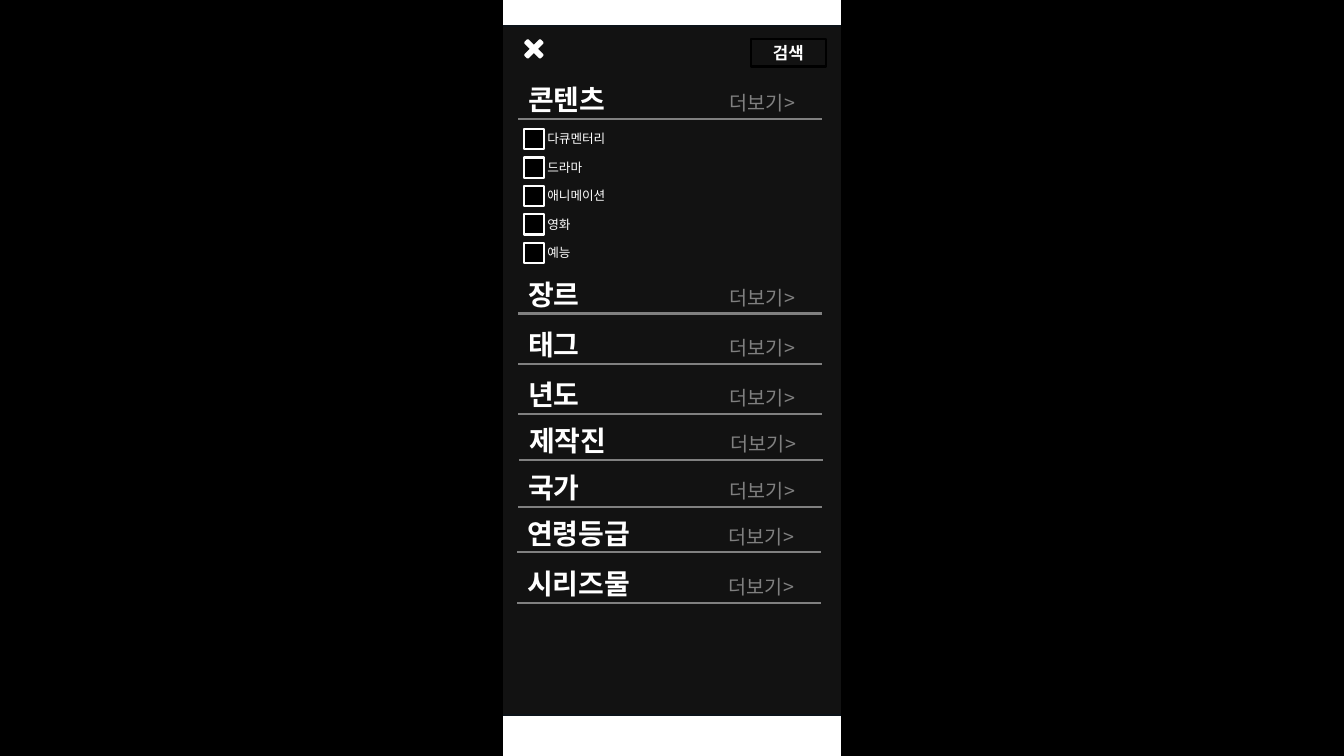
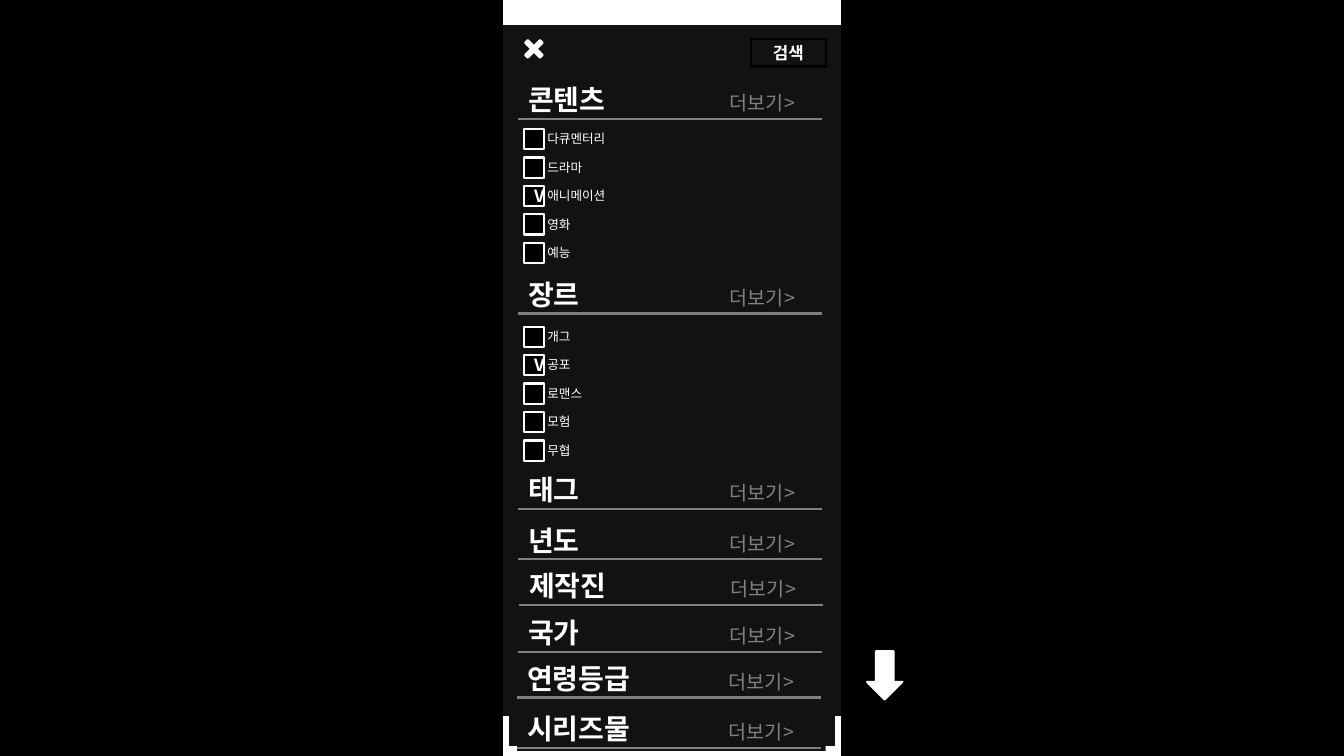
"""Build two slides of a mobile search filter screen, collapsed and expanded."""
import pptx
import pptx.dml.color
import pptx.enum.shapes
import pptx.enum.text
import pptx.oxml
import pptx.oxml.ns
import pptx.util
from lxml import etree

Inches = pptx.util.Inches
Pt = pptx.util.Pt
SHAPES = pptx.enum.shapes.MSO_SHAPE
ALIGN = pptx.enum.text.PP_ALIGN
ANCHOR = pptx.enum.text.MSO_ANCHOR
AUTO_SIZE = pptx.enum.text.MSO_AUTO_SIZE
qn = pptx.oxml.ns.qn

FONT = "Noto Sans CJK KR"
COLORS = {
    "screen": "121212",
    "screen_edge": "0C1319",
    "black": "000000",
    "white": "FFFFFF",
    "gray": "808080",
}
SLIDE_WIDTH, SLIDE_HEIGHT = 13.33, 7.5
LINE_WIDTH = 1.5
SIDE_WIDTH = 4.98
CHECK_SIZE = 0.2
CHECK_PITCH = 1.13 / 4
EXPANDED_SHIFT = 1.44

CONTENT_OPTIONS = ["다큐멘터리", "드라마", "애니메이션", "영화", "예능"]
GENRE_OPTIONS = ["개그", "공포", "로맨스", "모험", "무협"]
OPEN_SECTIONS = [("콘텐츠", 5.14, 0.77), ("장르", 5.14, 2.7)]
CLOSED_SECTIONS = [
    ("태그", 5.14, 3.2),
    ("년도", 5.14, 3.7),
    ("제작진", 5.15, 4.15),
    ("국가", 5.14, 4.62),
    ("연령등급", 5.13, 5.07),
    ("시리즈물", 5.13, 5.57),
]


def rgb(color):
    """Return the named palette colour."""
    return pptx.dml.color.RGBColor.from_string(COLORS[color])


def add_block(slide, box, fill, edge=None, kind=SHAPES.RECTANGLE):
    """Add a filled preset shape, outlined only if an edge colour is given."""
    block = slide.shapes.add_shape(kind, *map(Inches, box))
    block.shadow.inherit = False
    block.fill.solid()
    block.fill.fore_color.rgb = rgb(fill)
    if edge:
        block.line.color.rgb = rgb(edge)
        block.line.width = Pt(LINE_WIDTH)
    else:
        block.line.fill.background()
    return block


def style_run(run, size, color="white", bold=False):
    """Set the typeface of a run for Latin and Korean text."""
    run.font.name = FONT
    run.font.size = Pt(size)
    run.font.bold = bold
    run.font.color.rgb = rgb(color)
    korean = etree.SubElement(run.font._element, qn("a:ea"))
    korean.set("typeface", FONT)


def add_centered_text(block, text):
    """Write bold text in the middle of a block."""
    frame = block.text_frame
    frame.text = text
    frame.vertical_anchor = ANCHOR.MIDDLE
    frame.paragraphs[0].alignment = ALIGN.CENTER
    style_run(frame.paragraphs[0].runs[0], 12, bold=True)


def add_rule(slide, left, top):
    """Draw the thin line under a section heading."""
    rule = slide.shapes.add_connector(
        pptx.enum.shapes.MSO_CONNECTOR.STRAIGHT,
        Inches(left), Inches(top), Inches(left + 3.01), Inches(top))
    rule.line.color.rgb = rgb("gray")
    rule.line.width = Pt(LINE_WIDTH)
    etree.SubElement(rule._element.spPr, qn("a:effectLst"))


def add_section(slide, title, left, top):
    """Add a section heading with its link for more and its rule."""
    heading = add_block(slide, (left, top, 3.06, 0.44), "screen")
    frame = heading.text_frame
    frame.auto_size = AUTO_SIZE.SHAPE_TO_FIT_TEXT
    frame.vertical_anchor = ANCHOR.TOP
    paragraph = frame.paragraphs[0]
    paragraph.alignment = ALIGN.LEFT
    tabs = etree.SubElement(paragraph._p.get_or_add_pPr(), qn("a:tabLst"))
    etree.SubElement(tabs, qn("a:tab"), pos=str(Inches(2)), algn="l")
    for text, size, color, bold in (
            (title, 20, "white", True), ("\t더보기>", 14, "gray", False)):
        run = paragraph.add_run()
        run.text = text
        style_run(run, size, color, bold)
    add_rule(slide, left, top + 0.41)


def add_options(slide, options, first_top, checked=None):
    """Stack checkboxes with labels, marking the checked option."""
    for index, option in enumerate(options):
        top = first_top + index * CHECK_PITCH
        checkbox = add_block(
            slide, (5.2, top, CHECK_SIZE, CHECK_SIZE), "black", "white")
        if option == checked:
            add_centered_text(checkbox, "V")
        label = slide.shapes.add_textbox(
            Inches(5.33), Inches(top - 0.03), Inches(2.67), Inches(0.25))
        label.text_frame.word_wrap = True
        label.text_frame.auto_size = AUTO_SIZE.SHAPE_TO_FIT_TEXT
        label.text_frame.text = option
        style_run(label.text_frame.paragraphs[0].runs[0], 9)


def add_header(slide):
    """Add the search button and the close mark."""
    search = add_block(slide, (7.45, 0.39, 0.74, 0.27), "screen", "black")
    add_centered_text(search, "검색")
    close = add_block(
        slide, (5.19, 0.38, 0.21, 0.21), "white", "white", SHAPES.CROSS)
    close.adjustments[0] = 0.41
    close.rotation = 45


def add_filter_slide(deck, expanded):
    """Add the filter screen, with the genre list open if expanded."""
    slide = deck.slides.add_slide(deck.slide_layouts[6])
    shift = EXPANDED_SHIFT if expanded else 0
    add_block(slide, (4.78, 0.26, 3.74, 6.83), "screen", "screen_edge")
    add_block(slide, (5.05, 2.62 + shift, 3.23, 3.34), "screen")
    for title, left, top in OPEN_SECTIONS:
        add_section(slide, title, left, top)
    for title, left, top in CLOSED_SECTIONS:
        add_section(slide, title, left, top + shift)
    add_options(slide, CONTENT_OPTIONS, 1.28, "애니메이션" if expanded else None)
    if expanded:
        add_options(slide, GENRE_OPTIONS, 3.24, "공포")
        add_block(slide, (4.82, 0.26, 3.92, 0.47), "screen")
    add_header(slide)
    for left in (0, SLIDE_WIDTH - SIDE_WIDTH):
        add_block(slide, (left, 0, SIDE_WIDTH, SLIDE_HEIGHT), "black", "black")
    if expanded:
        add_block(slide, (8.6, 6.46, 0.35, 0.48), "white", "white",
                  SHAPES.DOWN_ARROW)


def main():
    """Build and save the deck."""
    deck = pptx.Presentation()
    deck.slide_width = Inches(SLIDE_WIDTH)
    deck.slide_height = Inches(SLIDE_HEIGHT)
    for expanded in (False, True):
        add_filter_slide(deck, expanded)
    deck.save("out.pptx")


if __name__ == "__main__":
    main()
